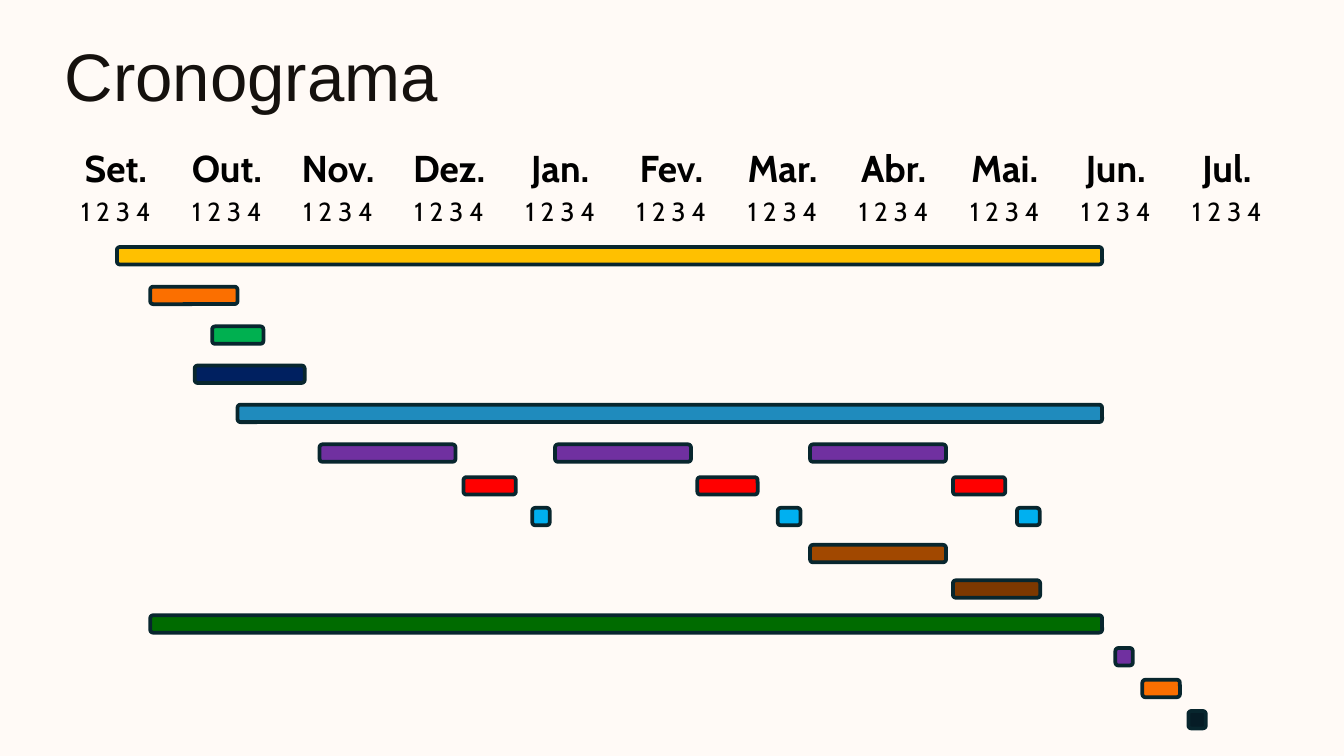
from pptx import Presentation
from pptx.dml.color import RGBColor
from pptx.enum.shapes import MSO_SHAPE as Shape
from pptx.enum.text import MSO_ANCHOR as Anchor, MSO_AUTO_SIZE as AutoSize, PP_ALIGN as Align
from pptx.oxml.ns import qn
from pptx.util import Cm, Pt

CREAM = RGBColor(0xFF, 0xFA, 0xF6)
INK = RGBColor(0x15, 0x11, 0x0E)
BLACK = RGBColor(0, 0, 0)
OUTLINE = RGBColor(0x08, 0x26, 0x2E)
YELLOW = RGBColor(0xFF, 0xC0, 0x00)
ORANGE = RGBColor(0xFB, 0x6F, 0x00)
GREEN = RGBColor(0x00, 0xB0, 0x50)
NAVY = RGBColor(0x00, 0x20, 0x60)
BLUE = RGBColor(0x1F, 0x8B, 0xBD)
PURPLE = RGBColor(0x70, 0x30, 0xA0)
RED = RGBColor(0xFF, 0x00, 0x00)
SKY = RGBColor(0x00, 0xB0, 0xF0)
RUST = RGBColor(0xA1, 0x48, 0x00)
BROWN = RGBColor(0x7D, 0x38, 0x00)
DARK_GREEN = RGBColor(0x00, 0x6B, 0x00)
NIGHT = RGBColor(0x06, 0x1C, 0x26)

TITLE_FONT = {"name": "Arial", "size": Pt(36), "bold": False}
MONTH_FONT = {"name": "Cabin", "size": Pt(20), "bold": True}
WEEK_FONT = {"name": "Cabin", "size": Pt(14), "bold": False}

MONTHS = ["Set.", "Out.", "Nov.", "Dez.", "Jan.", "Fev.", "Mar.", "Abr.", "Mai.", "Jun.", "Jul."]
NO_GRID_STYLE = "{2D5ABB26-0587-4C30-8999-92F81FD0307C}"
BAR_HEIGHT = 0.33

# Each activity: offset from the top, colour, (start, length) of its periods, in cm
ACTIVITIES = [
    (0, YELLOW, [(1.07, 18.62)]),
    (0.75, ORANGE, [(1.7, 1.65)]),
    (1.5, GREEN, [(2.87, 0.97)]),
    (2.24, NAVY, [(2.54, 2.08)]),
    (2.98, BLUE, [(3.35, 16.34)]),
    (3.73, PURPLE, [(4.9, 2.57), (9.35, 2.57), (14.17, 2.57)]),
    (4.35, RED, [(7.62, 0.99), (12.04, 1.14), (16.87, 0.99)]),
    (4.93, SKY, [(8.92, 0.33), (13.56, 0.43), (18.08, 0.43)]),
    (5.63, RUST, [(14.17, 2.57)]),
    (6.3, BROWN, [(16.87, 1.65)]),
    (6.96, DARK_GREEN, [(1.7, 17.99)]),
    (7.58, PURPLE, [(19.94, 0.33)]),
    (8.18, ORANGE, [(20.45, 0.71)]),
    (8.77, NIGHT, [(21.32, 0.33)]),
]


def style_text(paragraph, font_format, color, align):
    paragraph.alignment = align
    for key, value in font_format.items():
        setattr(paragraph.font, key, value)
    paragraph.font.color.rgb = color


def place_title(slide, left, top, width, height):
    title = slide.shapes.title
    box = {"left": Cm(left), "top": Cm(top), "width": Cm(width), "height": Cm(height)}
    for key, value in box.items():
        setattr(title, key, value)
    frame = title.text_frame
    frame.text = "Cronograma"
    frame.vertical_anchor = Anchor.MIDDLE
    for side in ("left", "top", "right", "bottom"):
        setattr(frame, f"margin_{side}", Cm(0.25))
    style_text(frame.paragraphs[0], TITLE_FONT, INK, Align.LEFT)


def place_weeks(slide, left, top, width, height):
    graphic = slide.shapes.add_table(1, len(MONTHS), Cm(left), Cm(top), Cm(width), Cm(height))
    weeks = graphic.table
    weeks.first_row = weeks.horz_banding = False
    weeks._tbl.tblPr.find(qn("a:tableStyleId")).text = NO_GRID_STYLE
    weeks.rows[0].height = Cm(height)
    for column, cell in zip(weeks.columns, weeks.rows[0].cells):
        column.width = Cm(width / len(MONTHS))
        cell.fill.background()
        cell.vertical_anchor = Anchor.MIDDLE
        cell.text = "1 2 3 4"
        style_text(cell.text_frame.paragraphs[0], WEEK_FONT, BLACK, Align.CENTER)


def place_months(slide, left, top, width, height):
    pitch = width / len(MONTHS)
    label_width = 1.96
    for index, month in enumerate(MONTHS):
        label_left = left + (index + 0.5) * pitch - label_width / 2
        label = slide.shapes.add_textbox(Cm(label_left), Cm(top), Cm(label_width), Cm(height))
        frame = label.text_frame
        frame.word_wrap = False
        frame.auto_size = AutoSize.SHAPE_TO_FIT_TEXT
        frame.text = month
        style_text(frame.paragraphs[0], MONTH_FONT, BLACK, Align.CENTER)


def place_bars(slide, left, top):
    for offset, color, periods in ACTIVITIES:
        for start, length in periods:
            bar = slide.shapes.add_shape(Shape.ROUNDED_RECTANGLE, Cm(left + start),
                                         Cm(top + offset), Cm(length), Cm(BAR_HEIGHT))
            bar.shadow.inherit = False
            bar.fill.solid()
            bar.fill.fore_color.rgb = color
            bar.line.color.rgb = OUTLINE
            bar.line.width = Pt(2)


def main():
    deck = Presentation()
    deck.slide_width, deck.slide_height = Cm(25.4), Cm(14.29)
    slide = deck.slides.add_slide(deck.slide_layouts[5])
    slide.background.fill.solid()
    slide.background.fill.fore_color.rgb = CREAM

    chart_left, chart_width = 1.14, 23.1
    place_title(slide, 0.97, 0.38, 8.64, 2.06)
    place_weeks(slide, chart_left, 3.48, chart_width, 1.04)
    place_months(slide, chart_left, 2.62, chart_width, 1.12)
    place_bars(slide, chart_left, 4.67)
    deck.save("out.pptx")


if __name__ == "__main__":
    main()
